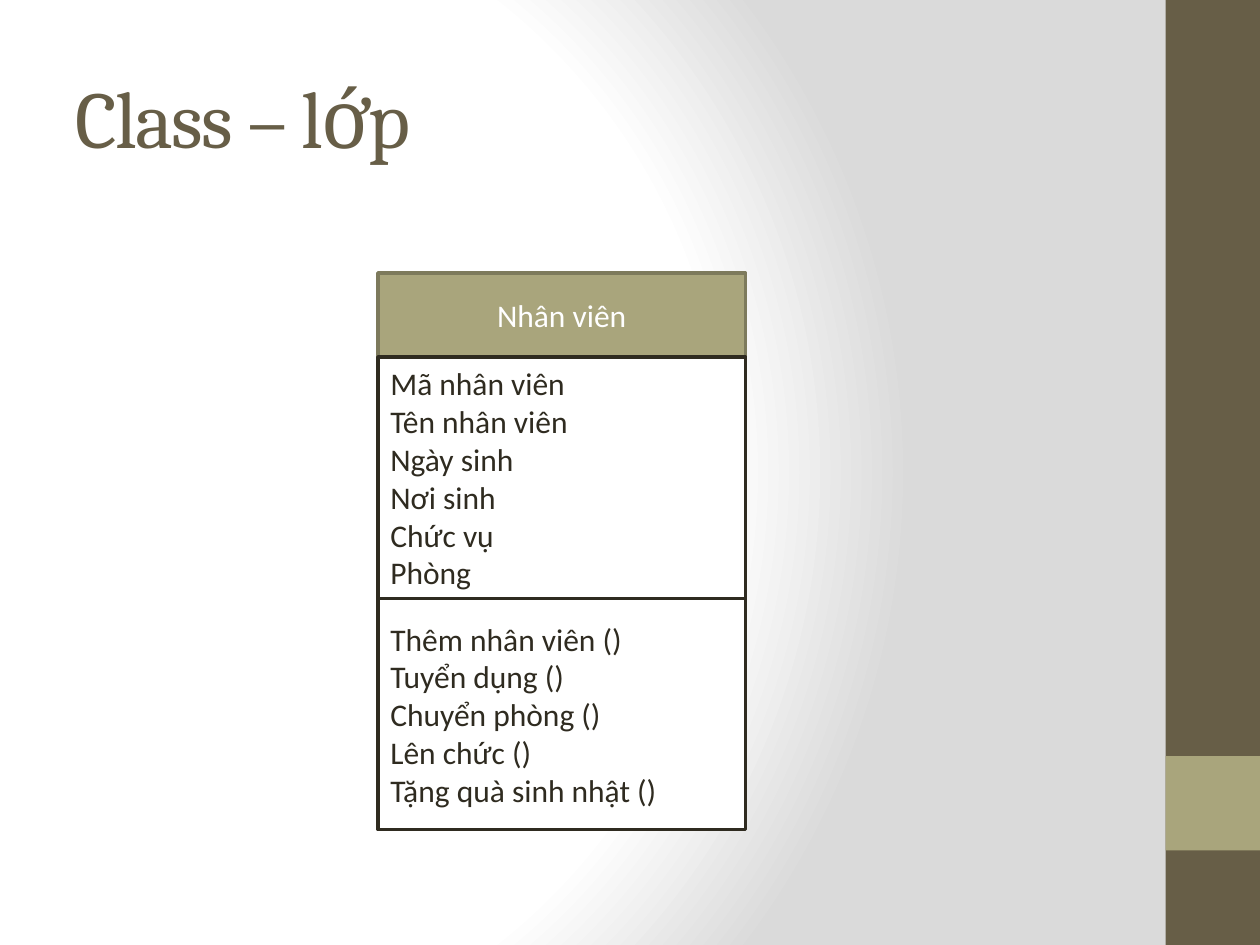
from lxml import etree
from pptx import Presentation
from pptx.dml.color import RGBColor
from pptx.enum.shapes import MSO_SHAPE
from pptx.enum.text import MSO_ANCHOR, MSO_AUTO_SIZE, PP_ALIGN
from pptx.oxml.ns import qn
from pptx.util import Pt

RECTANGLE = MSO_SHAPE.RECTANGLE
MIDDLE = MSO_ANCHOR.MIDDLE
NO_AUTOFIT = MSO_AUTO_SIZE.NONE
LEFT, CENTER = PP_ALIGN.LEFT, PP_ALIGN.CENTER

COLORS = {
    "white": "FFFFFF",
    "grey": "DADADA",
    "brown": "675E47",
    "olive": "A9A57C",
    "olive_edge": "7D7A5C",
    "ink": "2F2B20",
}
HEADING = {"name": "Cambria", "size": Pt(46), "bold": False}
BODY = {"name": "Calibri", "size": Pt(18), "bold": False}
CLASS_LEFT, CLASS_TOP, CLASS_WIDTH = 216, 156, 210
COMPARTMENTS = [
    (48, "olive", "olive_edge", "white", CENTER, ["Nhân viên"]),
    (138, "white", "ink", "ink", LEFT, [
        "Mã nhân viên", "Tên nhân viên", "Ngày sinh",
        "Nơi sinh", "Chức vụ", "Phòng"]),
    (132, "white", "ink", "ink", LEFT, [
        "Thêm nhân viên ()", "Tuyển dụng ()", "Chuyển phòng ()",
        "Lên chức ()", "Tặng quà sinh nhật ()"]),
]


def rgb(color):
    return RGBColor.from_string(COLORS[color])


def set_values(target, values):
    for name, value in values.items():
        setattr(target, name, value)


def place(shape, left, top, width, height):
    set_values(shape, {"left": Pt(left), "top": Pt(top),
                       "width": Pt(width), "height": Pt(height)})


def write_lines(shape, lines, font, color, align):
    frame = shape.text_frame
    set_values(frame, {"word_wrap": True, "auto_size": NO_AUTOFIT,
                       "vertical_anchor": MIDDLE})
    frame.text = "\n".join(lines)
    for para in frame.paragraphs:
        para.alignment = align
        for span in para.runs:
            set_values(span.font, font)
            span.font.color.rgb = rgb(color)


def add_box(page, left, top, width, height, fill, edge=None):
    box = page.shapes.add_shape(RECTANGLE, Pt(left), Pt(top), Pt(width), Pt(height))
    box.shadow.inherit = False
    box.fill.solid()
    box.fill.fore_color.rgb = rgb(fill)
    if edge:
        box.line.color.rgb = rgb(edge)
        box.line.width = Pt(2)
    else:
        box.line.fill.background()
    return box


def paint_background(page):
    page.background.fill.solid()
    solid = next(page.element.iter(qn("a:solidFill")))
    gradient = etree.Element(qn("a:gradFill"), rotWithShape="1")
    stops = etree.SubElement(gradient, qn("a:gsLst"))
    for percent, color in [(0, "white"), (75, "white"), (100, "grey")]:
        stop = etree.SubElement(stops, qn("a:gs"), pos=str(percent * 1000))
        etree.SubElement(stop, qn("a:srgbClr"), val=COLORS[color])
    circle = etree.SubElement(gradient, qn("a:path"), path="circle")
    etree.SubElement(circle, qn("a:fillToRect"),
                     l="20000", t="50000", r="100000", b="50000")
    solid.getparent().replace(solid, gradient)


def add_title(page, text):
    title = page.shapes.title
    place(title, 36, 21.6, 600, 90)
    write_lines(title, [text], HEADING, "brown", LEFT)
    for properties in title.element.iter(qn("a:rPr")):
        properties.set("spc", "-100")


def add_class_diagram(page):
    top = CLASS_TOP
    for height, fill, edge, color, align, lines in COMPARTMENTS:
        box = add_box(page, CLASS_LEFT, top, CLASS_WIDTH, height, fill, edge)
        write_lines(box, lines, BODY, color, align)
        top += height


def main():
    deck = Presentation()
    set_values(deck, {"slide_width": Pt(720), "slide_height": Pt(540)})
    page = deck.slides.add_slide(deck.slide_layouts[5])
    paint_background(page)
    add_box(page, 666, 0, 54, 540, "brown")
    add_box(page, 666, 432, 54, 54, "olive")
    add_title(page, "Class – lớp")
    add_class_diagram(page)
    deck.save("out.pptx")


main()
